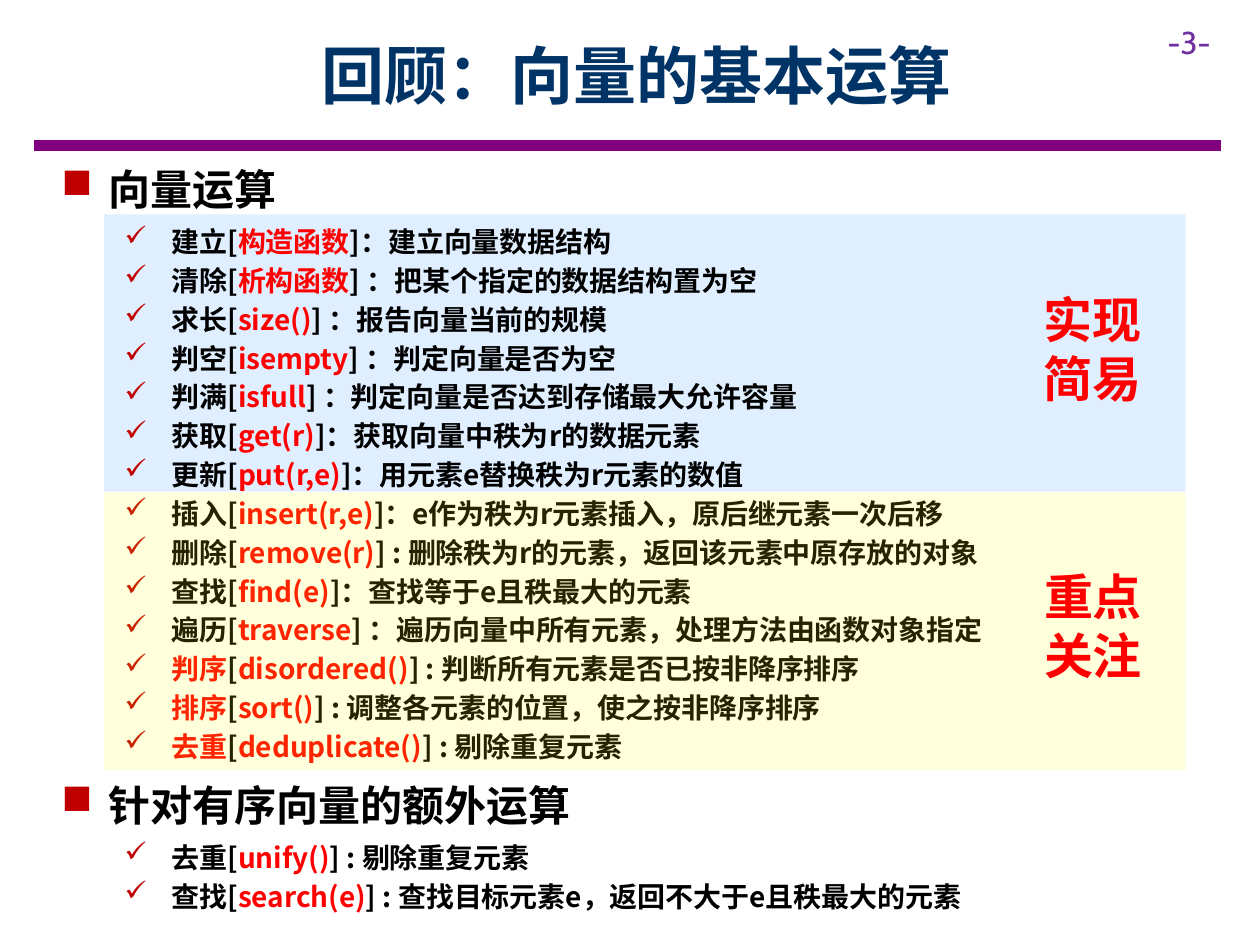
from lxml.etree import SubElement
from pptx import Presentation
from pptx.dml.color import RGBColor
from pptx.enum.shapes import MSO_CONNECTOR, MSO_SHAPE
from pptx.enum.text import MSO_ANCHOR, PP_ALIGN
from pptx.oxml.ns import qn
from pptx.util import Pt

BLACK = RGBColor(0, 0, 0)
WHITE = RGBColor(255, 255, 255)
RED = RGBColor(255, 0, 0)
CRIMSON = RGBColor(0xC0, 0, 0)
NAVY = RGBColor(0, 0x33, 0x66)
PURPLE = RGBColor(0x80, 0, 0x80)
VIOLET = RGBColor(0x70, 0x30, 0xA0)
BLUE = RGBColor(0x99, 0xCC, 0xFF)
YELLOW = RGBColor(255, 255, 0)

NOTO = "Noto Sans CJK SC"
LEADING = 1.2

# Levels: bullet is the Wingdings square or tick, indents are in points.
HEAD = {"level": 0, "size": 24, "after": 6, "indent": 27, "bullet": "n"}
ITEM = {"level": 1, "size": 16, "after": 3, "indent": 63, "bullet": "ü"}

# A bar switches between black and red text.
BASIC = [
    "向量运算",
    "建立[|构造函数|]：建立向量数据结构",
    "清除[|析构函数|] ：把某个指定的数据结构置为空",
    "求长[|size()|] ：报告向量当前的规模",
    "判空[|isempty|] ：判定向量是否为空",
    "判满[|isfull|] ：判定向量是否达到存储最大允许容量",
    "获取[|get(r)|]：获取向量中秩为r的数据元素",
    "更新[|put(r,e)|]：用元素e替换秩为r元素的数值",
    "插入[|insert(r,e)|]：e作为秩为r元素插入，原后继元素一次后移",
    "删除[|remove(r)|] : 删除秩为r的元素，返回该元素中原存放的对象",
    "查找[|find(e)|]：查找等于e且秩最大的元素",
    "遍历[|traverse|] ：遍历向量中所有元素，处理方法由函数对象指定",
    "|判序|[|disordered()|] : 判断所有元素是否已按非降序排序",
    "|排序|[|sort()|] : 调整各元素的位置，使之按非降序排序",
    "|去重|[|deduplicate()|] : 剔除重复元素",
]
SORTED = [
    "针对有序向量的额外运算",
    "去重[|unify()|] : 剔除重复元素",
    "查找[|search(e)|] : 查找目标元素e，返回不大于e且秩最大的元素",
]

deck = Presentation()
deck.slide_width, deck.slide_height = Pt(720), Pt(540)
slide = deck.slides.add_slide(deck.slide_layouts[6])
shapes = slide.shapes


def style(run, size, color, name=NOTO, bold=True):
    """Format a run, with the same font for Latin and Chinese text."""
    looks = {"size": Pt(size), "name": name, "bold": bold}
    for key, value in looks.items():
        setattr(run.font, key, value)
    run.font.color.rgb = color
    SubElement(run.font._element, qn("a:ea"), typeface=name)


def panel(box, fill, alpha=100):
    """Draw a plain filled rectangle with the given opacity in percent."""
    rect = shapes.add_shape(MSO_SHAPE.RECTANGLE, *map(Pt, box))
    rect.shadow.inherit = False
    rect.line.fill.background()
    rect.fill.solid()
    rect.fill.fore_color.rgb = fill
    if alpha < 100:
        tint = rect._element.spPr.find(".//" + qn("a:srgbClr"))
        SubElement(tint, qn("a:alpha"), val=str(alpha * 1000))
    return rect


rule = shapes.add_connector(MSO_CONNECTOR.STRAIGHT, Pt(19.5), Pt(83), Pt(697.5), Pt(83))
rule.line.width = Pt(6)
rule.line.color.rgb = PURPLE
SubElement(rule._element.spPr, qn("a:effectLst"))

# The yellow panel tints the list, so it lies above it.
panel((59.5, 122.5, 618, 158.5), BLUE, 30)
basic = shapes.add_textbox(Pt(28), Pt(88.5), Pt(692), Pt(353.5))
panel((59.5, 281.5, 618, 158.5), YELLOW, 14)
extra = panel((28, 440.5, 692, 84.5), WHITE)

for shape, lines in ((basic, BASIC), (extra, SORTED)):
    frame = shape.text_frame
    frame.word_wrap = True
    frame.vertical_anchor = MSO_ANCHOR.TOP
    frame.margin_top = Pt(5)
    for row, line in enumerate(lines):
        para = frame.add_paragraph() if row else frame.paragraphs[0]
        look = ITEM if row else HEAD
        para.level = look["level"]
        para.alignment = PP_ALIGN.LEFT
        para.line_spacing = Pt(look["size"] * LEADING)
        para.space_after = Pt(look["after"])
        props = para._p.get_or_add_pPr()
        props.set("marL", str(Pt(look["indent"])))
        props.set("indent", str(Pt(-27)))
        tone = SubElement(props, qn("a:buClr"))
        SubElement(tone, qn("a:srgbClr"), val=str(CRIMSON))
        SubElement(props, qn("a:buFont"), typeface="Wingdings", charset="2")
        SubElement(props, qn("a:buChar"), char=look["bullet"])
        for part, text in enumerate(line.split("|")):
            if text:
                run = para.add_run()
                run.text = text
                style(run, look["size"], RED if part % 2 else BLACK)

title = shapes.add_textbox(Pt(65), Pt(6.5), Pt(598), Pt(72)).text_frame
title.word_wrap = True
title.vertical_anchor = MSO_ANCHOR.MIDDLE
title.paragraphs[0].alignment = PP_ALIGN.CENTER
run = title.paragraphs[0].add_run()
run.text = "回顾：向量的基本运算"
style(run, 36, NAVY)

for text, left, top in (("实现简易", 589, 160.5), ("重点关注", 589.5, 319)):
    label = shapes.add_textbox(Pt(left), Pt(top), Pt(73.5), Pt(75)).text_frame
    label.word_wrap = True
    label.margin_top = Pt(5)
    label.paragraphs[0].line_spacing = Pt(28 * LEADING)
    run = label.paragraphs[0].add_run()
    run.text = text
    style(run, 28, RED)

page = shapes.add_textbox(Pt(660), Pt(9.5), Pt(60), Pt(29)).text_frame
page.word_wrap = True
run = page.paragraphs[0].add_run()
run.text = "-3-"
style(run, 18, VIOLET, "Cabin", False)

deck.save("out.pptx")
